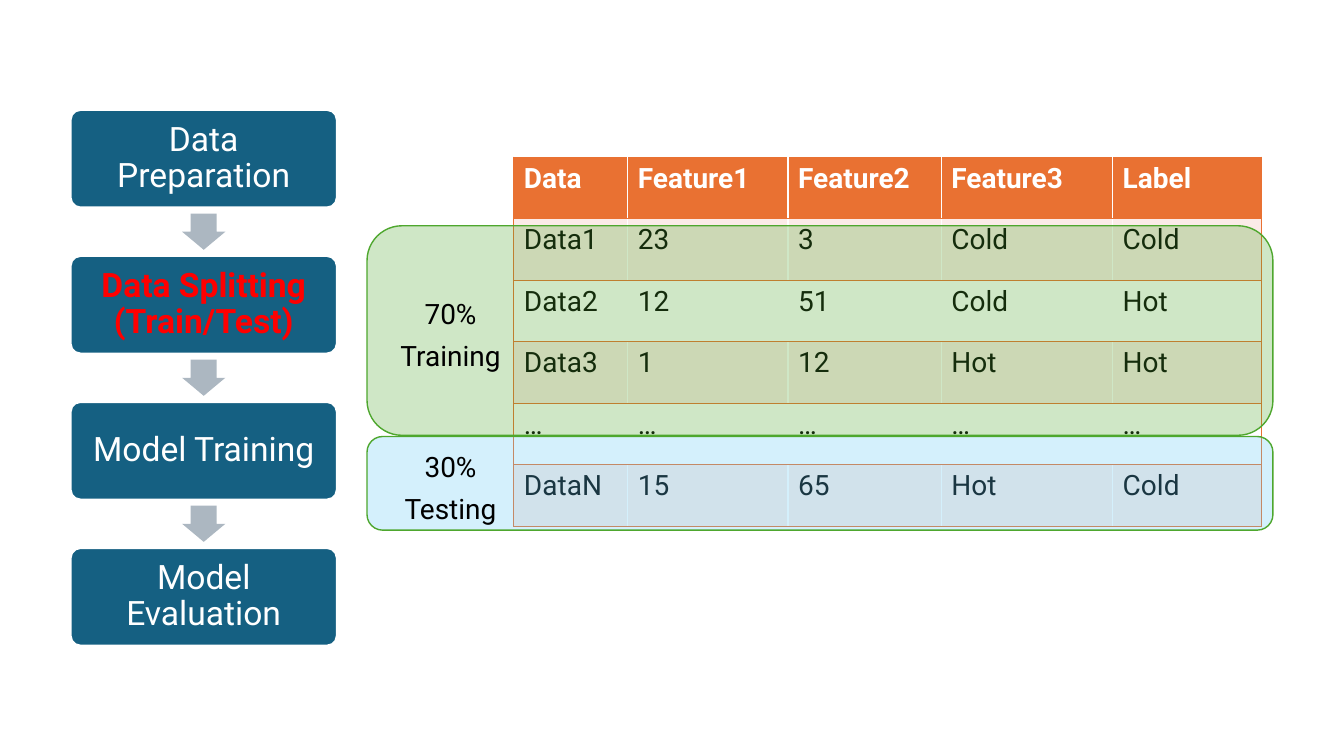
from lxml import etree
from pptx import Presentation
from pptx.dml.color import RGBColor
from pptx.enum.shapes import MSO_SHAPE
from pptx.enum.text import MSO_ANCHOR, PP_ALIGN
from pptx.oxml.ns import qn
from pptx.util import Cm, Pt

ROUNDED = MSO_SHAPE.ROUNDED_RECTANGLE
DOWN_ARROW = MSO_SHAPE.DOWN_ARROW
MIDDLE = MSO_ANCHOR.MIDDLE
CENTER = PP_ALIGN.CENTER

FONT = "Roboto"
WHITE = RGBColor(0xFF, 0xFF, 0xFF)
BLACK = RGBColor(0x00, 0x00, 0x00)
RED = RGBColor(0xFF, 0x00, 0x00)
TEAL = RGBColor(0x15, 0x60, 0x82)
GREY = RGBColor(0xAC, 0xB7, 0xC1)
ORANGE = RGBColor(0xE9, 0x71, 0x32)
PALE_ORANGE = RGBColor(0xFB, 0xEB, 0xE8)
GREEN = RGBColor(0x4E, 0xA7, 0x2E)
SKY = RGBColor(0x61, 0xCB, 0xF4)

STEPS = ["Data Preparation", "Data Splitting (Train/Test)", "Model Training", "Model Evaluation"]
CURRENT_STEP = 1
STEP_LEFT, STEP_TOP, STEP_WIDTH, STEP_HEIGHT, STEP_PITCH = 1.78, 2.77, 6.71, 2.46, 3.68
ARROW_WIDTH, ARROW_HEIGHT = 1.09, 0.91

COLUMN_WIDTHS = [2.87, 4.04, 3.86, 4.32, 3.76]
ROW_HEIGHT = 1.55
ROWS = [
    ["Data", "Feature1", "Feature2", "Feature3", "Label"],
    ["Data1", "23", "3", "Cold", "Cold"],
    ["Data2", "12", "51", "Cold", "Hot"],
    ["Data3", "1", "12", "Hot", "Hot"],
    ["…"] * 5,
    ["DataN", "15", "65", "Hot", "Cold"],
]


def set_font(paragraph, size, color, bold=False):
    """Format all text of a paragraph."""
    font = paragraph.font
    font.name, font.size, font.bold = FONT, Pt(size), bold
    font.color.rgb = color


def add_filled_shape(slide, kind, left, top, width, height, fill, line=None, line_width=1):
    """Add a flat preset shape, measured in centimetres."""
    shape = slide.shapes.add_shape(kind, Cm(left), Cm(top), Cm(width), Cm(height))
    shape.shadow.inherit = False
    shape.fill.solid()
    shape.fill.fore_color.rgb = fill
    if line is None:
        shape.line.fill.background()
    else:
        shape.line.color.rgb = line
        shape.line.width = Pt(line_width)
    return shape


def add_step(slide, top, text, is_current):
    """Add one box of the process."""
    shape = add_filled_shape(slide, ROUNDED, STEP_LEFT, top, STEP_WIDTH, STEP_HEIGHT, TEAL, WHITE, 1.5)
    shape.adjustments[0] = 0.1
    frame = shape.text_frame
    frame.word_wrap = True
    frame.vertical_anchor = MIDDLE
    frame.margin_left = frame.margin_right = Cm(0.33)
    frame.text = text
    paragraph = frame.paragraphs[0]
    paragraph.alignment = CENTER
    paragraph.line_spacing = 0.9
    set_font(paragraph, 24, RED if is_current else WHITE, is_current)


def add_arrow(slide, step_top):
    """Add the arrow that leads from a step to the next one."""
    left = STEP_LEFT + (STEP_WIDTH - ARROW_WIDTH) / 2
    top = step_top + (STEP_HEIGHT + STEP_PITCH - ARROW_HEIGHT) / 2
    arrow = add_filled_shape(slide, DOWN_ARROW, left, top, ARROW_WIDTH, ARROW_HEIGHT, GREY)
    arrow.adjustments[0] = 0.6
    arrow.adjustments[1] = 0.5


def add_borders(cell, sides):
    """Draw thin orange lines on the given sides of a cell."""
    properties = cell._tc.get_or_add_tcPr()
    for position, side in enumerate(sides):
        line = etree.Element(qn(f"a:ln{side}"), w=str(Pt(1)))
        fill = etree.SubElement(line, qn("a:solidFill"))
        etree.SubElement(fill, qn("a:srgbClr"), val=str(ORANGE))
        properties.insert(position, line)


def add_data_table(slide, left, top):
    """Add the table of samples with features and labels."""
    width, height = Cm(sum(COLUMN_WIDTHS)), Cm(ROW_HEIGHT * len(ROWS))
    table = slide.shapes.add_table(len(ROWS), len(COLUMN_WIDTHS), Cm(left), Cm(top), width, height).table
    for column, column_width in zip(table.columns, COLUMN_WIDTHS):
        column.width = Cm(column_width)
    last_column = len(COLUMN_WIDTHS) - 1
    for row_index, values in enumerate(ROWS):
        is_header = row_index == 0
        fill = ORANGE if is_header else PALE_ORANGE if row_index % 2 else WHITE
        for column_index, value in enumerate(values):
            cell = table.cell(row_index, column_index)
            cell.text = value
            set_font(cell.text_frame.paragraphs[0], 20, WHITE if is_header else BLACK, is_header)
            cell.fill.solid()
            cell.fill.fore_color.rgb = fill
            sides = ["L"] * (column_index == 0) + ["R"] * (column_index == last_column) + ["T", "B"]
            add_borders(cell, sides)


def add_band(slide, top, height, fill):
    """Add a translucent band over a part of the table."""
    band = add_filled_shape(slide, ROUNDED, 9.25, top, 22.83, height, fill, GREEN)
    color = band.fill._xPr.find(qn("a:solidFill"))[0]
    etree.SubElement(color, qn("a:alpha"), val="27000")


def add_band_label(slide, top, lines):
    """Add the centred label of a band."""
    frame = slide.shapes.add_textbox(Cm(9.78), Cm(top), Cm(3.15), Cm(2.21)).text_frame
    frame.word_wrap = True
    frame.text = "\n".join(lines)
    for paragraph in frame.paragraphs:
        paragraph.alignment = CENTER
        paragraph.space_after = Pt(6)
        set_font(paragraph, 20, BLACK)


def main():
    """Build and save the slide."""
    presentation = Presentation()
    presentation.slide_width, presentation.slide_height = Cm(33.87), Cm(19.05)
    slide = presentation.slides.add_slide(presentation.slide_layouts[6])
    for index, text in enumerate(STEPS):
        top = STEP_TOP + index * STEP_PITCH
        add_step(slide, top, text, index == CURRENT_STEP)
        if index < len(STEPS) - 1:
            add_arrow(slide, top)
    add_data_table(slide, 12.95, 3.96)
    add_band(slide, 5.69, 5.28, GREEN)
    add_band_label(slide, 7.34, ["70%", "Training"])
    add_band(slide, 11, 2.36, SKY)
    add_band_label(slide, 11.2, ["30%", "Testing"])
    presentation.save("out.pptx")


if __name__ == "__main__":
    main()
